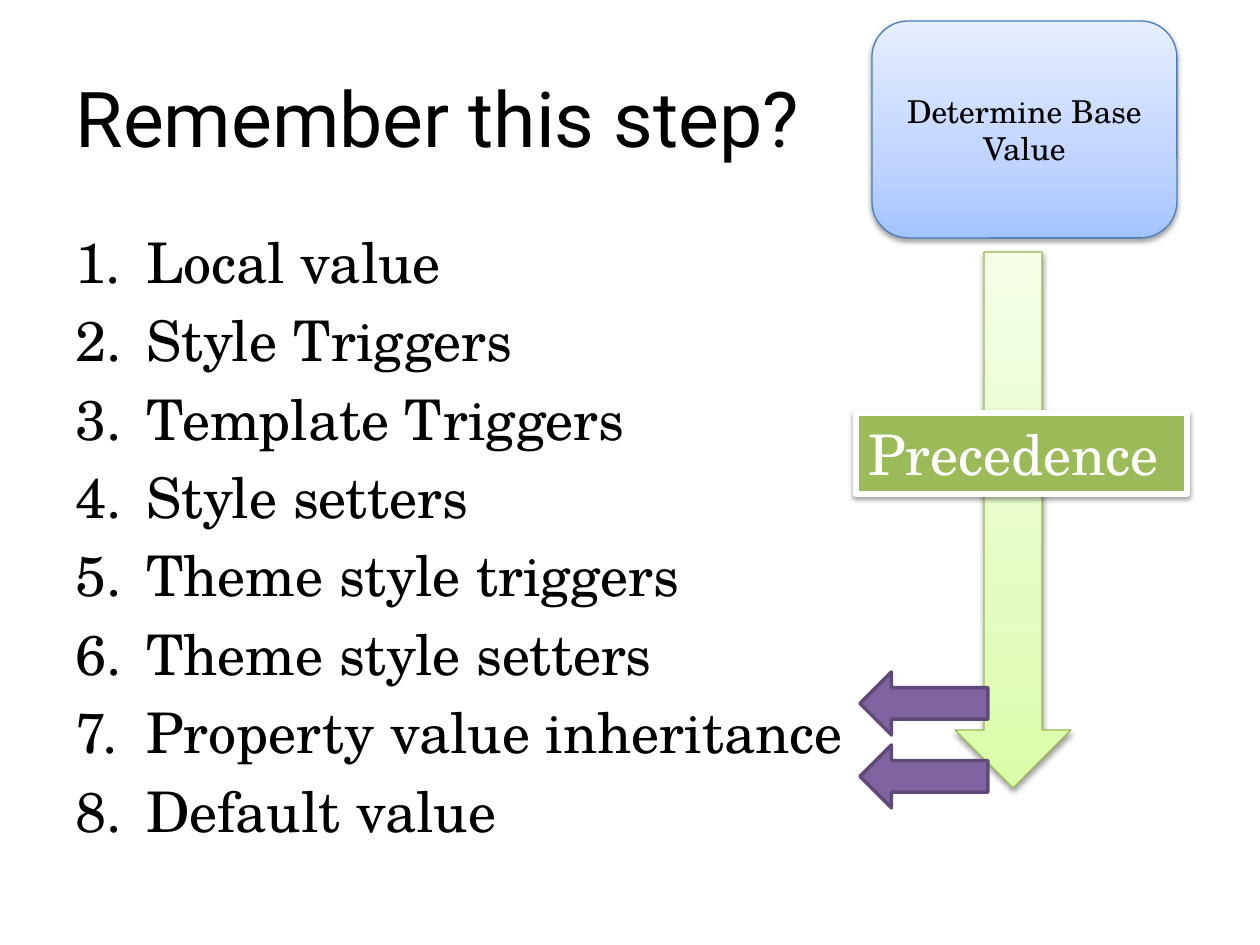
from lxml import etree
from pptx import Presentation
from pptx.dml.color import RGBColor
from pptx.enum.shapes import MSO_SHAPE
from pptx.enum.text import MSO_ANCHOR, MSO_AUTO_SIZE, PP_ALIGN
from pptx.oxml.ns import qn
from pptx.util import Emu, Pt

ROUNDED, RECT = MSO_SHAPE.ROUNDED_RECTANGLE, MSO_SHAPE.RECTANGLE
DOWN, LEFT_ARROW = MSO_SHAPE.DOWN_ARROW, MSO_SHAPE.LEFT_ARROW
MIDDLE, TOP = MSO_ANCHOR.MIDDLE, MSO_ANCHOR.TOP
LEFT, CENTER = PP_ALIGN.LEFT, PP_ALIGN.CENTER
NO_FIT = MSO_AUTO_SIZE.NONE
EMU_PER_PIXEL = 914400 / 126
COLORS = {
    "black": "000000", "white": "FFFFFF",
    "blue_line": "4B7EBC", "lime_line": "98B955", "green": "9BBB59",
    "purple": "8064A2", "purple_line": "5F4A78",
}
BLUES = ((0, "A4C4FF"), (35, "BFD4FF"), (100, "E6EEFF"))
LIMES = ((0, "DAFDA7"), (35, "E4FCC2"), (100, "F5FFE7"))
HEADING_FONT, BODY_FONT = "Roboto", "TeX Gyre Schola"


def px(value):
    return Emu(round(value * EMU_PER_PIXEL))


def add_node(parent, tag, **attributes):
    node = etree.SubElement(parent, qn(tag))
    for key, value in attributes.items():
        node.set(key, str(value))
    return node


class SlideBuilder:
    def __init__(self, slide):
        self.slide = slide

    def set_text(self, frame, lines, size, font=BODY_FONT, color="black",
                 align=LEFT, anchor=MIDDLE, wrap=True):
        frame.text = "\n".join(lines)
        frame.word_wrap = wrap
        frame.auto_size = NO_FIT
        frame.vertical_anchor = anchor
        for paragraph in frame.paragraphs:
            paragraph.alignment = align
            paragraph.font.name = font
            paragraph.font.size = Pt(size)
            paragraph.font.color.rgb = RGBColor.from_string(COLORS[color])

    def title(self, text, left, top, width, height):
        heading = self.slide.shapes.title
        heading.left, heading.top = px(left), px(top)
        heading.width, heading.height = px(width), px(height)
        self.set_text(heading.text_frame, [text], 44, HEADING_FONT)

    def numbered_list(self, items, left, top, width, height, size, indent):
        box = self.slide.shapes.add_textbox(px(left), px(top), px(width), px(height))
        self.set_text(box.text_frame, items, size, anchor=TOP)
        for paragraph in box.text_frame.paragraphs:
            paragraph.space_before = Pt(size * 0.2)
            properties = paragraph._p.get_or_add_pPr()
            properties.set("marL", str(px(indent)))
            properties.set("indent", str(-px(indent)))
            numbering = etree.Element(qn("a:buAutoNum"), type="arabicPeriod")
            properties.find(qn("a:spcBef")).addnext(numbering)

    def shape(self, kind, left, top, width, height, fill, line, line_width, shadow=False):
        item = self.slide.shapes.add_shape(kind, px(left), px(top), px(width), px(height))
        if isinstance(fill, tuple):
            self.gradient(item, fill)
        else:
            item.fill.solid()
            item.fill.fore_color.rgb = RGBColor.from_string(COLORS[fill])
        item.line.color.rgb = RGBColor.from_string(COLORS[line])
        item.line.width = Pt(line_width)
        item.shadow.inherit = False
        if shadow:
            self.drop_shadow(item)
        return item

    def gradient(self, item, stops):
        item.fill.gradient()
        item.fill.gradient_angle = 90
        stop_list = item._element.spPr.find(".//" + qn("a:gsLst"))
        for old_stop in list(stop_list):
            stop_list.remove(old_stop)
        for percent, color in stops:
            stop = add_node(stop_list, "a:gs", pos=percent * 1000)
            add_node(stop, "a:srgbClr", val=color)

    def drop_shadow(self, item):
        effects = item._element.spPr.find(qn("a:effectLst"))
        outer = add_node(effects, "a:outerShdw", blurRad=Pt(3.1), dist=Pt(1.6),
                         dir=90 * 60000, rotWithShape=0)
        color = add_node(outer, "a:srgbClr", val=COLORS["black"])
        add_node(color, "a:alpha", val=38000)


presentation = Presentation()
presentation.slide_width, presentation.slide_height = px(1260), px(945)
builder = SlideBuilder(presentation.slides.add_slide(presentation.slide_layouts[5]))

base_value = builder.shape(ROUNDED, 872, 21, 305, 217, BLUES, "blue_line", 0.75, True)
builder.set_text(base_value.text_frame, ["Determine Base Value"], 18, align=CENTER)

builder.title("Remember this step?", 63, 38, 1134, 157)
builder.numbered_list(
    ["Local value", "Style Triggers", "Template Triggers", "Style setters",
     "Theme style triggers", "Theme style setters", "Property value inheritance",
     "Default value"],
    63, 221, 1134, 624, 32, 71)

builder.shape(DOWN, 955, 252, 116, 536, LIMES, "lime_line", 0.75, True)
precedence = builder.shape(RECT, 856, 413, 331, 81, "green", "white", 3, True)
builder.set_text(precedence.text_frame, ["Precedence"], 32, color="white", wrap=False)

for pointer_top in (745, 672):
    builder.shape(LEFT_ARROW, 860, pointer_top, 128, 63, "purple", "purple_line", 2)

presentation.save("out.pptx")
